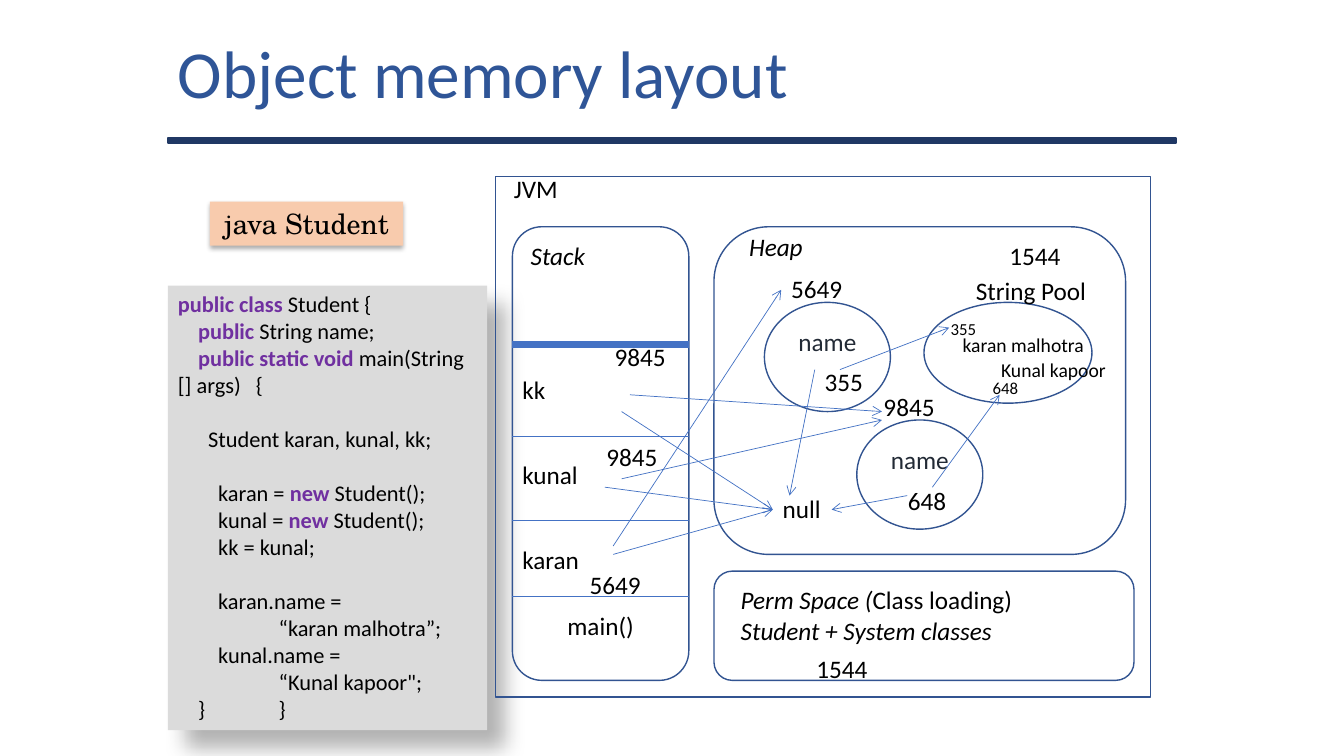
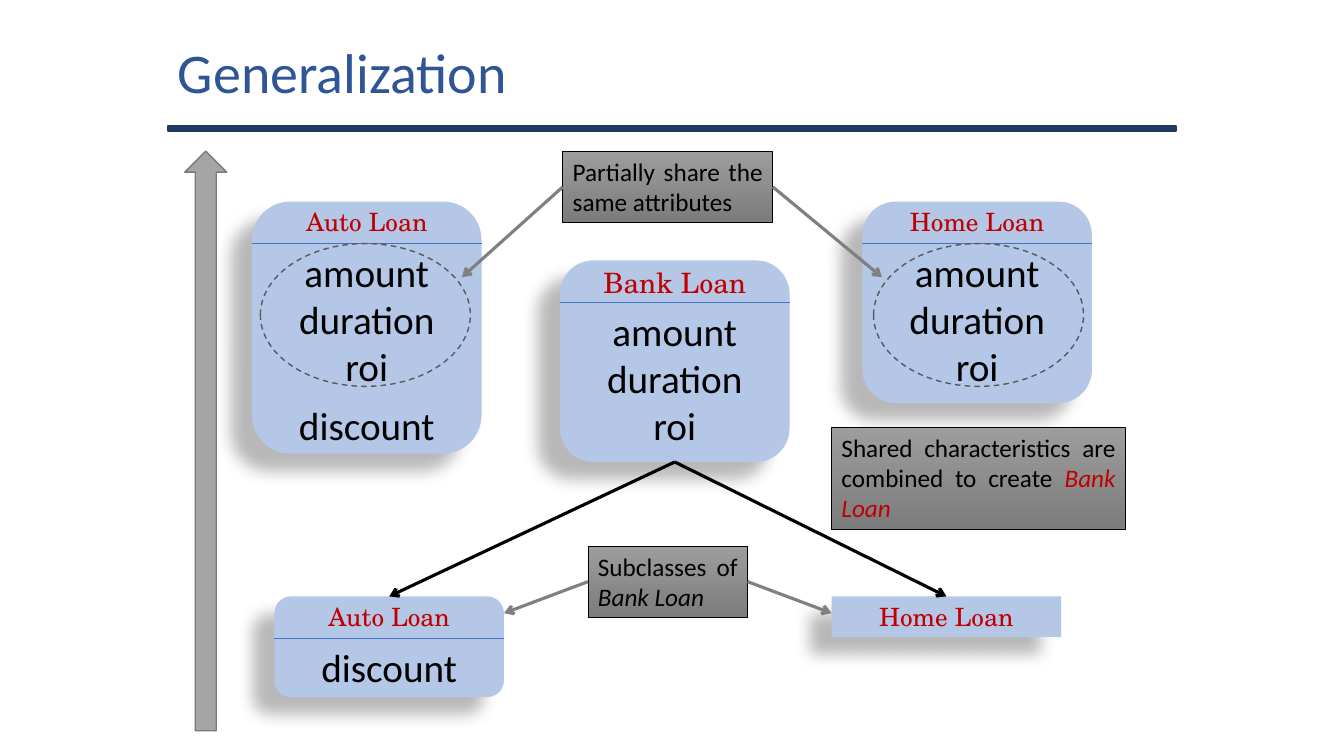
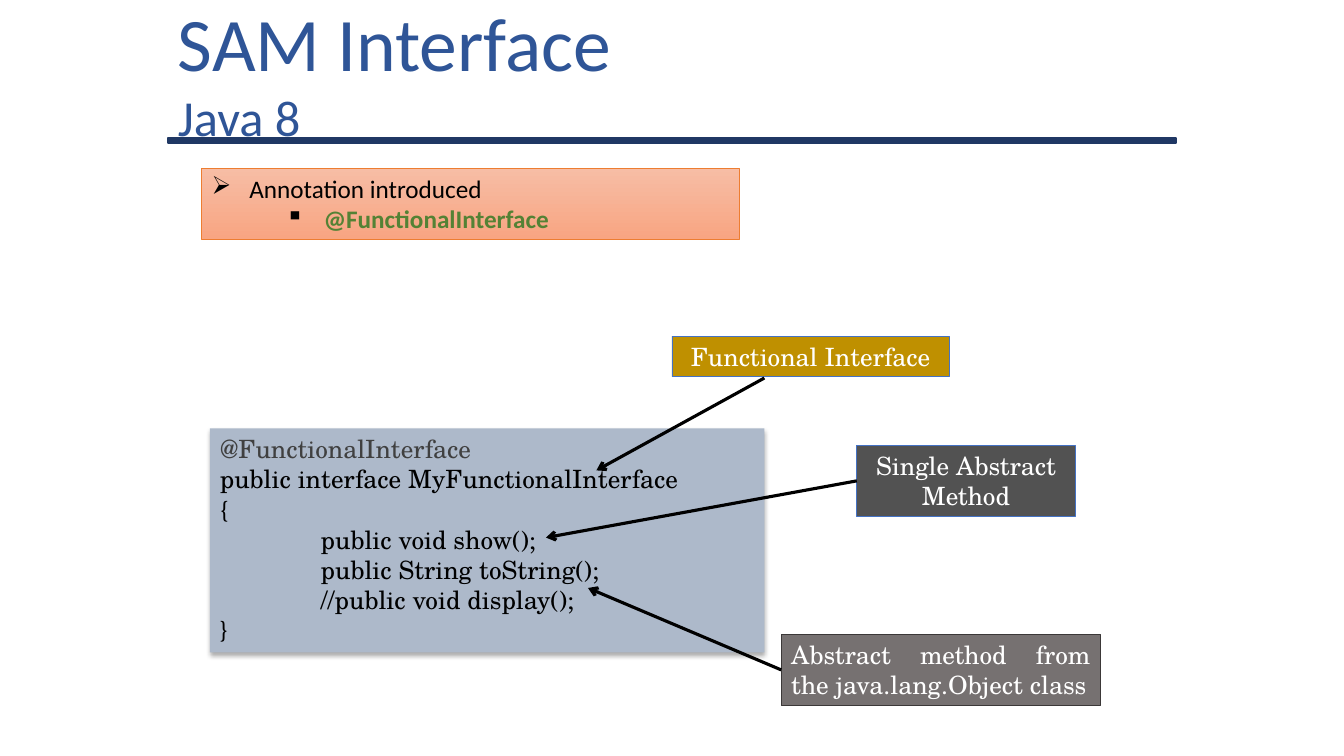
from lxml import etree
from pptx import Presentation
from pptx.dml.color import RGBColor
from pptx.enum.dml import MSO_LINE
from pptx.enum.shapes import MSO_CONNECTOR, MSO_SHAPE
from pptx.enum.text import MSO_ANCHOR, PP_ALIGN
from pptx.oxml.ns import qn
from pptx.util import Pt

RECTANGLE, ROUNDED = MSO_SHAPE.RECTANGLE, MSO_SHAPE.ROUNDED_RECTANGLE
OVAL, UP_ARROW = MSO_SHAPE.OVAL, MSO_SHAPE.UP_ARROW
STRAIGHT, DASH = MSO_CONNECTOR.STRAIGHT, MSO_LINE.DASH
LEFT, CENTER, JUSTIFY = PP_ALIGN.LEFT, PP_ALIGN.CENTER, PP_ALIGN.JUSTIFY
TOP, MIDDLE = MSO_ANCHOR.TOP, MSO_ANCHOR.MIDDLE
SITE_TOP, SITE_LEFT, SITE_BOTTOM, SITE_RIGHT = range(4)

COLORS = {
    "black": "000000", "white": "FFFFFF", "navy": "203864", "title": "2F5597",
    "outline": "325491", "blue": "4472C4", "keyword": "7030A0", "slate": "222A35",
    "code": "DBDBDB", "peach": "F8CBAD", "card": "B4C7E7", "red": "C00000",
    "dash": "595959", "gray": "808080", "arrow": "A5A5A5", "arrow edge": "7A7A7A",
    "note light": "9D9D9D", "note dark": "7C7C7C", "orange": "ED7D31",
    "orange light": "F7BDA5", "orange dark": "F8A582", "green": "548235",
    "interface": "ADB9CA", "annotation": "404040", "gold": "BF9000",
    "charcoal": "525252", "taupe": "767171", "taupe edge": "3B3838",
}
BODY, SERIF = "Calibri", "TeX Gyre Schola"

# Shadows: opacity %, blur, distance, angle
CODE_SHADOW = (30, 15, 18, 45)
SOFT_SHADOW = (32, 3.5, 2.2, 90)
CARD_SHADOW = (28, 11.8, 19.7, 141)

KEYWORD = {"color": "keyword", "bold": True}
ITALIC = {"italic": True}
LABEL_HEIGHT = 29
TAB_WIDTH = 72

# Memory slide content
STUDENT_CODE = [
    [("public class", KEYWORD), " Student {"],
    ["    ", ("public", KEYWORD), " String name;"],
    ["    ", ("public static void ", KEYWORD), "main(String \t[] args)   {"],
    "      Student karan, kunal, kk;",
    ["        karan = ", ("new", KEYWORD), " Student();"],
    ["        kunal = ", ("new", KEYWORD), " Student();"],
    "        kk = kunal;",
    "        karan.name =",
    "\t“karan malhotra”;",
    "        kunal.name =",
    "\t“Kunal kapoor\";",
    "    }\t}",
]
STUDENT_GAPS = {3: 19.5, 4: 19.5, 7: 19.5}
AREAS = [
    (RECTANGLE, (354, 126, 468, 372)),
    (ROUNDED, (510, 408, 300, 78)),
    (ROUNDED, (366, 162, 126, 324)),
    (ROUNDED, (510, 162, 294, 234)),
    (OVAL, (660, 216, 120, 72)),
]
STACK_LEFT, STACK_RIGHT = 366, 492
STACK_RULES = [(426, 0.5), (372, 0.5), (312, 0.5), (246, 4.5)]
STACK_VARIABLES = ["kk", "kunal", "karan"]
STUDENTS = [(546, 216), (612, 300)]
# text, left, top, width, font changes
MEMORY_LABELS = [
    ("JVM", 360, 120, 216, {}),
    ("Stack", 372, 168, 66, ITALIC),
    ("Heap", 528, 162, 66, ITALIC),
    ("1544", 576, 463, 66, {}),
    ("1544", 714, 168, 66, {}),
    ("null", 552, 349, 42, {}),
    ("5649", 558, 192, 54, {}),
    ("9845", 624, 276, 54, {}),
    ("5649", 414, 403, 54, {}),
    ("9845", 426, 312, 54, {}),
    ("9845", 432, 240, 54, {}),
    ("String Pool", 690, 193, 96, {}),
    ("355", 582, 258, 44, {}),
    ("648", 641.5, 343, 44, {}),
    ("355", 672, 224, 52, {"size": 12}),
    ("karan malhotra", 680.5, 234, 105, {"size": 14}),
    ("648", 702, 266.5, 36, {"size": 12}),
    ("Kunal kapoor", 708, 252, 92, {"size": 14}),
]
REFERENCES = [
    ((438, 396), (552, 364)), ((432, 348), (552, 364)), ((444, 294), (552, 364)),
    ((438, 390), (558, 207)), ((444, 342), (630, 300)), ((450, 282), (630, 294)),
    ((600, 264), (678, 234)), ((666, 348), (714, 282)),
    ((582, 264), (564, 354)), ((648, 354), (594, 364)),
]

# Loan slide content
SHARED = ["amount", "duration", "roi"]
CARD_WIDTH = 164
# key: title, left, top, height, title size, attributes
CARDS = {
    "auto": ("Auto Loan", 180, 144, 180, 18, SHARED + ["discount"]),
    "home": ("Home Loan", 616, 144, 144, 18, SHARED),
    "bank": ("Bank Loan", 400, 186, 144, 20, SHARED),
    "auto subclass": ("Auto Loan", 196, 426, 72, 18, ["discount"]),
    "home subclass": ("Home Loan", 594, 426, 29, 18, []),
}
SHARED_RINGS = [(186, 174, 150, 102), (624, 174, 150, 102)]
NOTES = {
    "combined": ((594, 305, 210, 73), ["Shared characteristics are combined to create ",
                                       ("Bank Loan", {"color": "red", "italic": True})]),
    "subclasses": ((420, 390, 114, 51), ["Subclasses of ", ("Bank Loan", ITALIC)]),
    "partial": ((402, 108, 150, 51), ["Partially share the same attributes"]),
}
NOTE_ARROWS = [
    ("partial", SITE_RIGHT, (630, 198)), ("partial", SITE_LEFT, (330, 198)),
    ("subclasses", SITE_LEFT, (360, 438)), ("subclasses", SITE_RIGHT, (594, 438)),
]

# Interface slide content
INTERFACE_CODE = [
    [("@FunctionalInterface", {"color": "annotation"})],
    "public interface MyFunctionalInterface", "{",
    "\tpublic void show();", "\tpublic String toString();",
    "\t//public void display();", "}",
]
# bullet, left margin, runs
ANNOTATION = [
    ("➢", 27, ["Annotation introduced"]),
    ("▪", 80, [("@FunctionalInterface", {"color": "green", "bold": True})]),
]
# text, box, fill, line, alignment, arrow start (None for the left side), arrow end
CALLOUTS = [
    ("Functional Interface", (480, 240, 198, 29), "gold", "blue", CENTER, (546, 270), (426, 336)),
    ("Single Abstract Method", (612, 318, 156, 51), "charcoal", "blue", CENTER, None, (390, 384)),
    ("Abstract method from the java.lang.Object class", (558, 453, 228, 51),
     "taupe", "taupe edge", JUSTIFY, None, (420, 420)),
]


def rgb(name):
    return RGBColor.from_string(COLORS[name])


def set_font(font, formats):
    for name, value in formats.items():
        if name == "color":
            font.color.rgb = rgb(value)
        else:
            setattr(font, name, Pt(value) if name == "size" else value)


def write_text(shape, paragraphs, align=LEFT, anchor=TOP, gaps=None, bullets=None, **formats):
    """Each paragraph is a string or a list of runs: strings or (text, font changes)."""
    base = {"name": BODY, "size": 18, "color": "black", **formats}
    frame = shape.text_frame
    frame.word_wrap = True
    frame.vertical_anchor = anchor
    for index, runs in enumerate(paragraphs):
        paragraph = frame.paragraphs[0] if index == 0 else frame.add_paragraph()
        paragraph.alignment = align
        properties = paragraph._p.get_or_add_pPr()
        properties.set("defTabSz", str(Pt(TAB_WIDTH)))
        if gaps and index in gaps:
            paragraph.space_before = Pt(gaps[index])
        if bullets:
            character, margin = bullets[index]
            properties.set("marL", str(Pt(margin)))
            properties.set("indent", str(-Pt(27)))
            bullet_color = etree.SubElement(properties, qn("a:buClr"))
            etree.SubElement(bullet_color, qn("a:srgbClr"), val=COLORS["black"])
            etree.SubElement(properties, qn("a:buChar"), char=character)
        for item in [runs] if isinstance(runs, str) else runs:
            text, changes = (item, {}) if isinstance(item, str) else item
            run = paragraph.add_run()
            run.text = text
            set_font(run.font, {**base, **changes})


def add_label(slide, box, paragraphs, **options):
    label = slide.shapes.add_textbox(*map(Pt, box))
    write_text(label, paragraphs, **options)


def add_box(slide, kind, box, fill=None, line=None, width=1, shadow=None, dash=None):
    """A fill is a colour name, or a pair of names for a gradient from top to bottom."""
    shape = slide.shapes.add_shape(kind, *map(Pt, box))
    shape.shadow.inherit = False
    if isinstance(fill, tuple):
        shape.fill.gradient()
        shape.fill.gradient_angle = 270
        for stop, name in zip(shape.fill.gradient_stops, fill):
            stop.color.rgb = rgb(name)
    elif fill:
        shape.fill.solid()
        shape.fill.fore_color.rgb = rgb(fill)
    else:
        shape.fill.background()
    if line:
        shape.line.color.rgb = rgb(line)
        shape.line.width = Pt(width)
        if dash:
            shape.line.dash_style = dash
    else:
        shape.line.fill.background()
    if shadow:
        opacity, blur, distance, angle = shadow
        outer = etree.SubElement(
            shape.element.spPr.find(qn("a:effectLst")), qn("a:outerShdw"),
            blurRad=str(Pt(blur)), dist=str(Pt(distance)), dir=str(angle * 60000),
            algn="ctr", rotWithShape="0")
        color = etree.SubElement(outer, qn("a:srgbClr"), val=COLORS["black"])
        etree.SubElement(color, qn("a:alpha"), val=str(opacity * 1000))
    return shape


def add_line(slide, start, end, color="blue", width=0.5, arrow=True):
    """Each end is a point (x, y) or a joint (shape, connection site)."""
    joints = [not isinstance(place[0], (int, float)) for place in (start, end)]
    points = [(0, 0) if joined else place for joined, place in zip(joints, (start, end))]
    line = slide.shapes.add_connector(STRAIGHT, *(Pt(value) for point in points for value in point))
    if joints[0]:
        line.begin_connect(*start)
    if joints[1]:
        line.end_connect(*end)
    line.line.color.rgb = rgb(color)
    line.line.width = Pt(width)
    properties = line.element.spPr
    if arrow:
        etree.SubElement(properties.find(qn("a:ln")), qn("a:tailEnd"), type="arrow")
    etree.SubElement(properties, qn("a:effectLst"))


def start_slide(presentation, title, size, rule_top=98.5):
    """Blank slide with the shared rule and title."""
    slide = presentation.slides.add_slide(presentation.slide_layouts[6])
    add_box(slide, RECTANGLE, (120, rule_top, 720, 3.6), "navy", "navy")
    add_label(slide, (120, 0, 564, 102), title, anchor=MIDDLE, size=size, color="title")
    return slide


def build_memory_slide(presentation):
    slide = start_slide(presentation, ["Object memory layout"], 48)
    code = add_box(slide, RECTANGLE, (120, 204, 228, 317.5), "code", shadow=CODE_SHADOW)
    write_text(code, STUDENT_CODE, gaps=STUDENT_GAPS, size=16)
    command = add_box(slide, RECTANGLE, (150, 144, 138, 31.5), "peach", shadow=SOFT_SHADOW)
    write_text(command, ["java Student"], align=CENTER, name=SERIF, size=20)

    # Memory areas and stack frames
    for kind, box in AREAS:
        add_box(slide, kind, box, line="outline")
    for top, width in STACK_RULES:
        add_line(slide, (STACK_LEFT, top), (STACK_RIGHT, top), width=width, arrow=False)
    stack_width = STACK_RIGHT - STACK_LEFT
    for index, variable in enumerate(STACK_VARIABLES):
        add_label(slide, (STACK_LEFT, 264 + 60.5 * index, stack_width, LABEL_HEIGHT), [variable])
    add_label(slide, (STACK_LEFT, 432.5, stack_width, LABEL_HEIGHT), ["main()"], align=CENTER)
    add_label(slide, (522, 414, 270, 51),
              [[("Perm Space (", ITALIC), "Class loading)"],
               [("Student + System classes", ITALIC)]])

    # Student objects, addresses and references
    for left, top in STUDENTS:
        student = add_box(slide, OVAL, (left, top, 90, 78), line="outline")
        write_text(student, ["name"], align=CENTER, anchor=MIDDLE, color="slate")
        student.text_frame.margin_bottom = Pt(25.6)
    for text, left, top, width, changes in MEMORY_LABELS:
        add_label(slide, (left, top, width, LABEL_HEIGHT), [text], **changes)
    for start, end in REFERENCES:
        add_line(slide, start, end)


def add_card(slide, title, left, top, height, size, attributes):
    kind = ROUNDED if attributes else RECTANGLE
    card = add_box(slide, kind, (left, top, CARD_WIDTH, height), "card", shadow=CARD_SHADOW)
    heading = {"align": CENTER, "name": SERIF, "size": size, "color": "red"}
    if not attributes:
        write_text(card, [title], **heading)
        return card
    divider = top + 30
    add_line(slide, (left, divider), (left + CARD_WIDTH, divider), arrow=False)
    add_label(slide, (left, top, CARD_WIDTH, LABEL_HEIGHT), [title], **heading)
    add_label(slide, (left, divider, CARD_WIDTH, height - 30), attributes,
              align=CENTER, gaps={len(SHARED): 8}, size=28)
    return card


def build_loan_slide(presentation):
    slide = start_slide(presentation, ["Generalization"], 40, rule_top=90)
    cards = {key: add_card(slide, *card) for key, card in CARDS.items()}
    for box in SHARED_RINGS:
        add_box(slide, OVAL, box, line="dash", dash=DASH)
    for subclass in ("auto subclass", "home subclass"):
        add_line(slide, (cards["bank"], SITE_BOTTOM), (cards[subclass], SITE_TOP), "black", 2.25)

    # Notes and their arrows
    notes = {}
    for key, (box, runs) in NOTES.items():
        notes[key] = add_box(slide, RECTANGLE, box, ("note light", "note dark"), "black", 0.5)
        write_text(notes[key], [runs], align=JUSTIFY)
    for key, site, end in NOTE_ARROWS:
        add_line(slide, (notes[key], site), end, "gray", 2.25)
    add_box(slide, UP_ARROW, (132, 108, 30, 414), "arrow", "arrow edge")


def build_interface_slide(presentation):
    slide = start_slide(presentation, ["SAM Interface", [("Java 8", {"size": 36})]], 54)
    code = add_box(slide, RECTANGLE, (150, 306, 396, 160), "interface", shadow=SOFT_SHADOW)
    write_text(code, INTERFACE_CODE, name=SERIF)
    for text, box, fill, line, align, start, end in CALLOUTS:
        callout = add_box(slide, RECTANGLE, box, fill, line, 0.5)
        write_text(callout, [text], align=align, name=SERIF, color="white")
        add_line(slide, start or (callout, SITE_LEFT), end, "black", 2.25)
    annotation = add_box(slide, RECTANGLE, (144, 120, 384, 51),
                         ("orange light", "orange dark"), "orange", 0.5)
    write_text(annotation, [runs for _, _, runs in ANNOTATION],
               bullets=[(character, margin) for character, margin, _ in ANNOTATION])


def main():
    presentation = Presentation()
    presentation.slide_width, presentation.slide_height = Pt(960), Pt(540)
    build_memory_slide(presentation)
    build_loan_slide(presentation)
    build_interface_slide(presentation)
    presentation.save("out.pptx")


if __name__ == "__main__":
    main()
